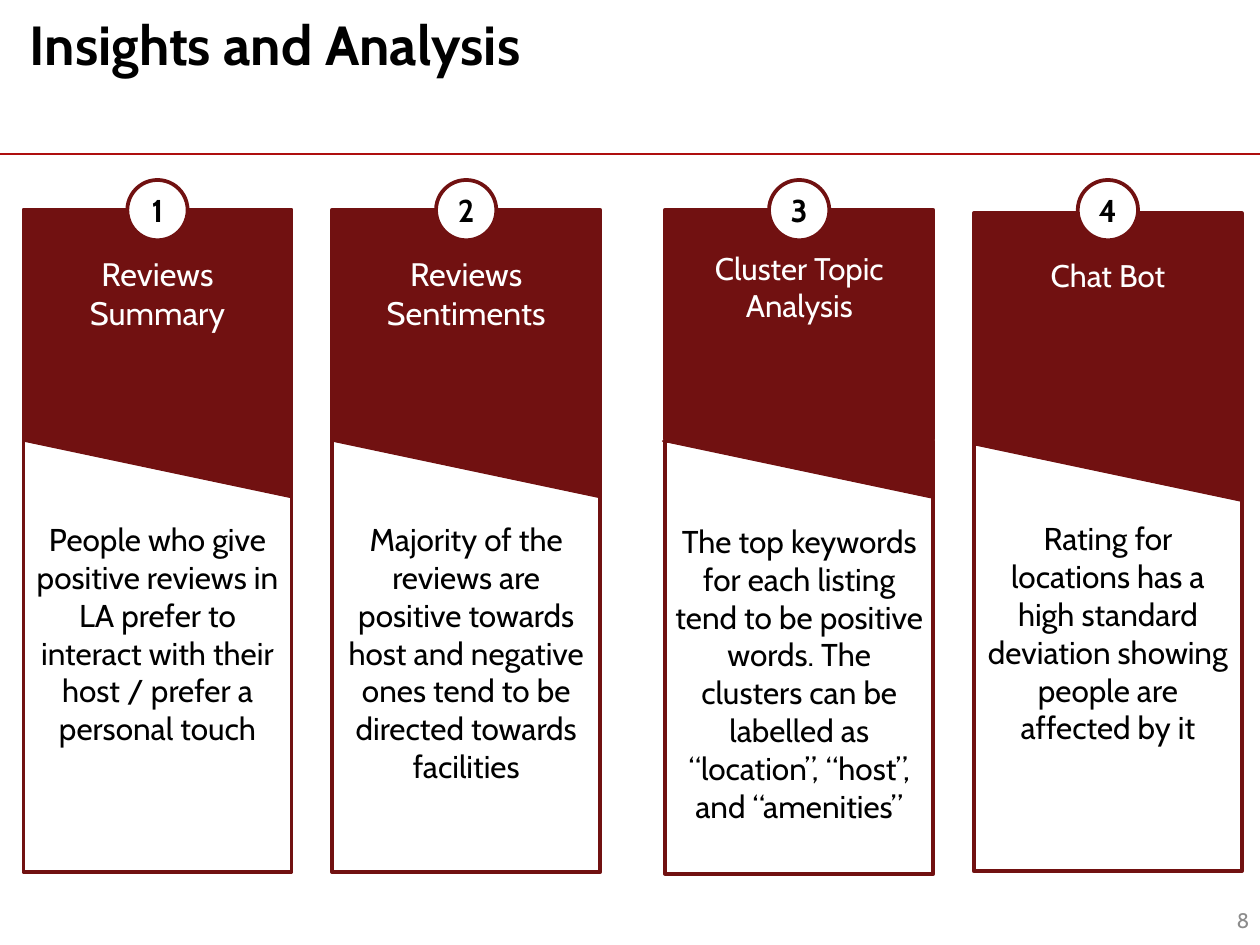
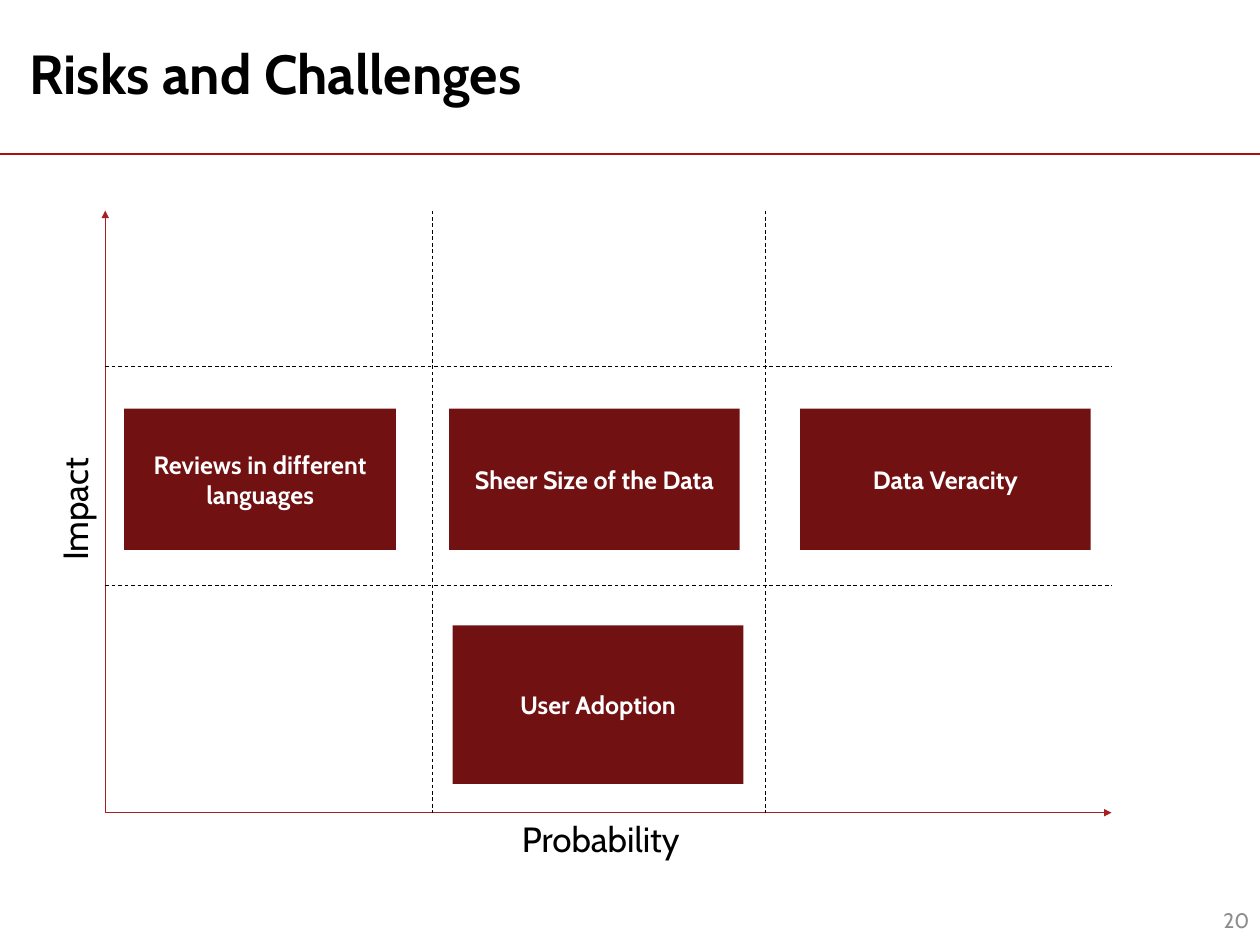
"""Builds two slides: insights in four columns and a grid of risks."""
import lxml.etree
import pptx
import pptx.dml.color
import pptx.enum.dml
import pptx.enum.shapes
import pptx.enum.text
import pptx.oxml.ns
import pptx.util

WIDTH, HEIGHT = 14, 10.5
FONT = "Cabin"
COLOURS = {"maroon": "711111", "rule": "AE0E0E", "axis": "A52020",
           "black": "000000", "white": "FFFFFF", "grey": "8C8C8C"}
LINE_HEIGHT = 1.215 / 72
PAD = 0.05

INSIGHTS_TITLE = "Insights and Analysis"
INSIGHTS = [
    {"head": "Reviews Summary", "size": 26, "lead": 26, "head_top": 2.33, "body_top": 4.88,
     "body": "People who give positive reviews in LA prefer to interact with their "
             "host / prefer a personal touch"},
    {"head": "Reviews Sentiments", "size": 26, "lead": 26, "head_top": 2.33, "body_top": 4.88,
     "body": "Majority of the reviews are positive towards host and negative ones "
             "tend to be directed towards facilities"},
    {"head": "Cluster Topic Analysis", "size": 25, "lead": 23, "head_top": 2.33,
     "body_top": 4.9, "wedge_shift": -0.03,
     "body": "The top keywords for each listing tend to be positive words. The clusters "
             "can be labelled as “location”, “host”, and “amenities”"},
    {"head": "Chat Bot", "size": 25, "lead": 25, "head_top": 2.37, "body_top": 4.87,
     "body": "Rating for locations has a high standard deviation showing people are "
             "affected by it"},
]
FIRST_LEFT, PAIR_STEP, COLUMN_STEP, COLUMN_WIDTH = 0.26, 7.13, 3.43, 2.98
HEAD_HEIGHT, BODY_HEIGHT, WEDGE_HEIGHT = 2.55, 4.81, 0.63
BADGE_TOP, BADGE_SIZE, BODY_SIZE = 2, 0.67, 25.2

RISKS_TITLE = "Risks and Challenges"
GRID_X = [1.17, 4.8, 8.5, 12.35]
GRID_Y = [2.34, 4.07, 6.51, 9.03]
RISKS = [
    ("Reviews in different languages", 0, 1, 0.21, 0.47, 3.02, 1.57),
    ("Sheer Size of the Data", 1, 1, 0.19, 0.47, 3.23, 1.57),
    ("Data Veracity", 2, 1, 0.39, 0.47, 3.23, 1.57),
    ("User Adoption", 1, 2, 0.23, 0.44, 3.23, 1.76),
]
AXIS_LABELS = [("Impact", (-0.24, 4.98, 2.13, 0.57), 270),
               ("Probability", (5.7, 9.03, 2.8, 0.57), 0)]

SHAPE = pptx.enum.shapes.MSO_SHAPE
ALIGN = pptx.enum.text.PP_ALIGN
ANCHOR = pptx.enum.text.MSO_ANCHOR


def inches(*lengths):
    return [pptx.util.Inches(length) for length in lengths]


def colour(name):
    return pptx.dml.color.RGBColor.from_string(COLOURS[name])


def write(holder, text, size, ink="black", bold=False, align=ALIGN.LEFT,
          anchor=ANCHOR.TOP, top=PAD, bottom=PAD, side=0.1, spacing=None):
    frame = holder.text_frame
    frame.word_wrap = True
    frame.auto_size = pptx.enum.text.MSO_AUTO_SIZE.NONE
    frame.vertical_anchor = anchor
    frame.margin_top, frame.margin_bottom = inches(top, bottom)
    frame.margin_left, frame.margin_right = inches(side, side)
    para = frame.paragraphs[0]
    para.alignment = align
    para.line_spacing = spacing
    span = para.add_run()
    span.text = text
    span.font.name = FONT
    span.font.size = pptx.util.Pt(size)
    span.font.bold = bold
    span.font.color.rgb = colour(ink)


def add_box(page, kind, place, fill=None, line=None, weight=3):
    box = page.shapes.add_shape(kind, *inches(*place))
    box.shadow.inherit = False
    if fill:
        box.fill.solid()
        box.fill.fore_color.rgb = colour(fill)
    else:
        box.fill.background()
    if line:
        box.line.color.rgb = colour(line)
        box.line.width = pptx.util.Pt(weight)
    else:
        box.line.fill.background()
    return box


def add_line(page, ends, ink, weight, dashed=False, arrow=False):
    connector = page.shapes.add_connector(
        pptx.enum.shapes.MSO_CONNECTOR.STRAIGHT, *inches(*ends))
    connector.line.color.rgb = colour(ink)
    connector.line.width = pptx.util.Pt(weight)
    if dashed:
        connector.line.dash_style = pptx.enum.dml.MSO_LINE.DASH
    if arrow:
        outline = connector.line._get_or_add_ln()
        lxml.etree.SubElement(outline, pptx.oxml.ns.qn("a:tailEnd"), type="triangle")
    properties = connector.element.spPr
    lxml.etree.SubElement(properties, pptx.oxml.ns.qn("a:effectLst"))


def add_page(deck, title, number, title_bottom=PAD):
    page = deck.slides.add_slide(deck.slide_layouts[5])
    add_line(page, (-0.03, 1.71, WIDTH, 1.71), "rule", 1.5)
    holder = page.shapes.title
    holder.left, holder.top, holder.width, holder.height = inches(0.23, 0, 13.77, 1.71)
    write(holder, title, 44, bold=True, anchor=ANCHOR.MIDDLE,
          bottom=title_bottom, spacing=0.9)
    footer = page.shapes.add_textbox(*inches(10.83, 9.94, 3.15, 0.56))
    write(footer, str(number), 16.8, "grey", align=ALIGN.RIGHT, anchor=ANCHOR.MIDDLE)
    return page


def build_insights(deck):
    page = add_page(deck, INSIGHTS_TITLE, 8, title_bottom=0.71)
    for index, insight in enumerate(INSIGHTS):
        pair, column = divmod(index, 2)
        left = FIRST_LEFT + pair * PAIR_STEP + column * COLUMN_STEP
        head_top = insight["head_top"]
        head = add_box(page, SHAPE.RECTANGLE, (left, head_top, COLUMN_WIDTH, HEAD_HEIGHT),
                       "maroon", "maroon")
        write(head, insight["head"], insight["size"], "white", align=ALIGN.CENTER,
              top=PAD + insight["lead"] * LINE_HEIGHT)
        badge_left = left + (COLUMN_WIDTH - BADGE_SIZE) / 2
        badge = add_box(page, SHAPE.OVAL, (badge_left, BADGE_TOP, BADGE_SIZE, BADGE_SIZE),
                        "white", "maroon")
        write(badge, str(index + 1), BODY_SIZE, bold=True, align=ALIGN.CENTER,
              anchor=ANCHOR.MIDDLE, side=0)
        body = add_box(page, SHAPE.RECTANGLE,
                       (left, insight["body_top"], COLUMN_WIDTH, BODY_HEIGHT), line="maroon")
        write(body, insight["body"], BODY_SIZE, align=ALIGN.CENTER,
              top=PAD + 2 * BODY_SIZE * LINE_HEIGHT)
        wedge_left = left + insight.get("wedge_shift", 0)
        wedge = add_box(page, SHAPE.RIGHT_TRIANGLE,
                        (wedge_left, head_top + HEAD_HEIGHT + 0.02, COLUMN_WIDTH, WEDGE_HEIGHT),
                        "maroon", "maroon", 1)
        wedge.rotation = 180


def build_risks(deck):
    page = add_page(deck, RISKS_TITLE, 20)
    left, right, top, bottom = GRID_X[0], GRID_X[-1], GRID_Y[0], GRID_Y[-1]
    for end in [(left, top), (right, bottom)]:
        add_line(page, (left, bottom, *end), "axis", 0.5, arrow=True)
    for x in GRID_X[1:-1]:
        add_line(page, (x, top, x, bottom), "black", 0.75, dashed=True)
    for y in GRID_Y[1:-1]:
        add_line(page, (left, y, right, y), "black", 0.75, dashed=True)
    for text, place, turn in AXIS_LABELS:
        label = page.shapes.add_textbox(*inches(*place))
        label.rotation = turn
        write(label, text, 28)
    for text, column, row, inset_x, inset_y, width, height in RISKS:
        place = (GRID_X[column] + inset_x, GRID_Y[row] + inset_y, width, height)
        risk = add_box(page, SHAPE.RECTANGLE, place, "maroon")
        write(risk, text, 20, "white", bold=True, align=ALIGN.CENTER, anchor=ANCHOR.MIDDLE)


def main():
    deck = pptx.Presentation()
    deck.slide_width, deck.slide_height = inches(WIDTH, HEIGHT)
    build_insights(deck)
    build_risks(deck)
    deck.save("out.pptx")


if __name__ == "__main__":
    main()
